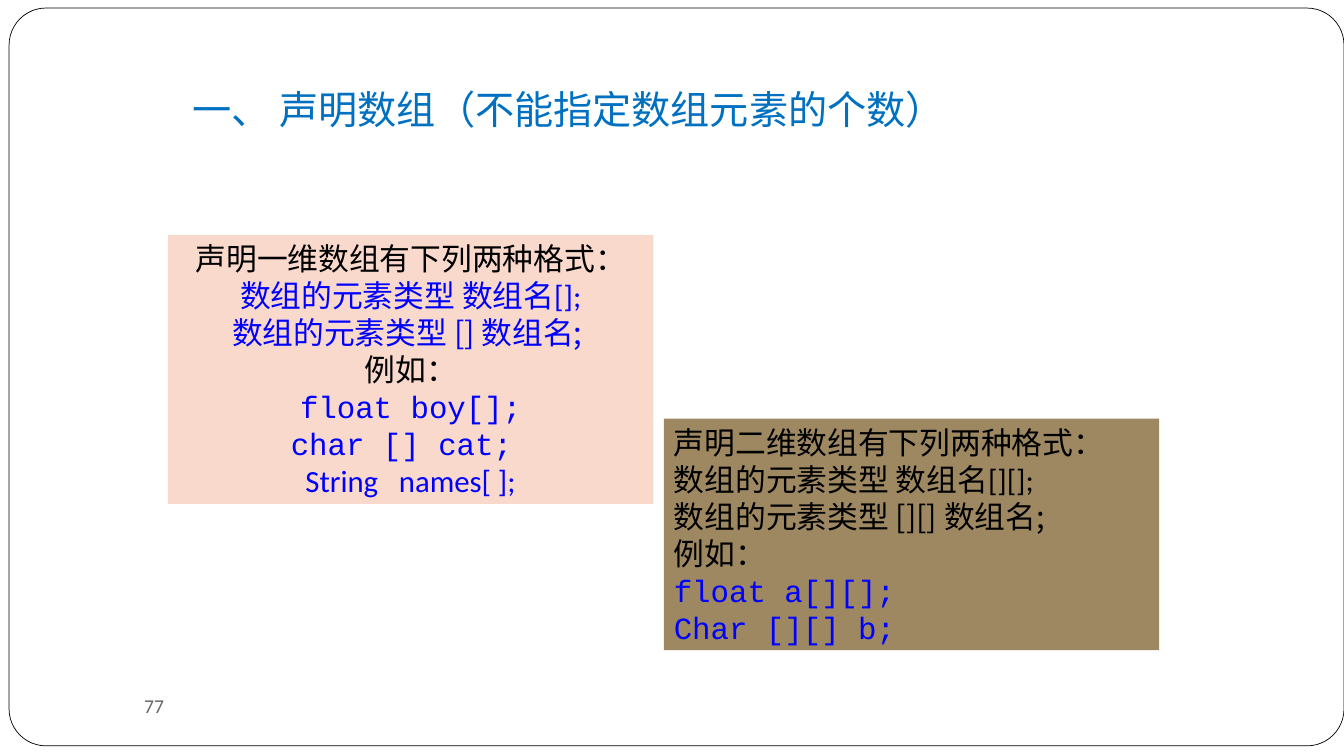
from dataclasses import dataclass

from pptx import Presentation
from pptx.dml.color import RGBColor
from pptx.enum.shapes import MSO_SHAPE as Shape
from pptx.enum.text import MSO_ANCHOR as Anchor, PP_ALIGN as Align
from pptx.util import Pt


@dataclass(frozen=True)
class Theme:
    white: str = "FFFFFF"
    black: str = "000000"
    grey: str = "696464"
    title_blue: str = "0070C0"
    code_blue: str = "0000FF"
    pink: str = "FAD9CD"
    brown: str = "9D8862"
    body_font: str = "Calibri"
    code_font: str = "Courier New"
    chinese_font: str = "Noto Sans CJK SC"
    title_font: str = "Times New Roman"
    title_size: int = 28
    body_size: int = 22
    number_size: int = 14


class SlideBuilder:
    def __init__(self, slide, theme):
        self.slide = slide
        self.theme = theme

    def panel(self, kind, box, fill, line=None):
        shape = self.slide.shapes.add_shape(kind, *map(Pt, box))
        shape.shadow.inherit = False
        shape.fill.solid()
        shape.fill.fore_color.rgb = RGBColor.from_string(fill)
        if line:
            shape.line.color.rgb = RGBColor.from_string(line)
            shape.line.width = Pt(0.5)
        else:
            shape.line.fill.background()
        return shape

    def set_text(self, paragraph, text, font, size, color, align=Align.LEFT):
        paragraph.text = text
        paragraph.alignment = align
        paragraph.font.name = font
        paragraph.font.size = Pt(size)
        paragraph.font.color.rgb = RGBColor.from_string(color)

    def label(self, box, text, font, size, color, anchor=Anchor.TOP):
        frame = self.slide.shapes.add_textbox(*map(Pt, box)).text_frame
        frame.word_wrap = True
        frame.vertical_anchor = anchor
        paragraph = frame.paragraphs[0]
        self.set_text(paragraph, text, font, size, color)
        return paragraph

    def syntax_panel(self, box, fill, lines):
        frame = self.panel(Shape.RECTANGLE, box, fill).text_frame
        frame.word_wrap = True
        frame.vertical_anchor = Anchor.TOP
        for index, (text, font, color, align) in enumerate(lines):
            paragraph = frame.add_paragraph() if index else frame.paragraphs[0]
            self.set_text(paragraph, text, font, self.theme.body_size, color, align)


def main():
    presentation = Presentation()
    presentation.slide_width = Pt(960.5)
    presentation.slide_height = Pt(540)
    slide = presentation.slides.add_slide(presentation.slide_layouts[6])
    theme = Theme()
    builder = SlideBuilder(slide, theme)

    border = builder.panel(Shape.ROUNDED_RECTANGLE, (6.5, 5.75, 954, 527),
                           theme.white, theme.black)
    border.adjustments[0] = 0.05

    builder.label((96, 486, 416, 36), "77", theme.body_font,
                  theme.number_size, theme.grey, Anchor.MIDDLE)
    title = builder.label((130.5, 61, 674.5, 142), "一、 声明数组（不能指定数组元素的个数）",
                          theme.title_font, theme.title_size, theme.title_blue)
    title.line_spacing = 0.9

    body, code, chinese = theme.body_font, theme.code_font, theme.chinese_font
    black, blue = theme.black, theme.code_blue
    center, left, justify = Align.CENTER, Align.LEFT, Align.JUSTIFY
    builder.syntax_panel((120, 168, 347, 192), theme.pink, [
        ("声明一维数组有下列两种格式：", body, black, center),
        ("数组的元素类型 数组名[];", body, blue, center),
        ("数组的元素类型 [] 数组名; ", chinese, blue, center),
        ("例如：", body, black, center),
        ("float boy[];", code, blue, center),
        ("char [] cat; ", code, blue, center),
        ("String   names[ ];", body, blue, center),
    ])
    builder.syntax_panel((474.5, 299, 354, 165.5), theme.brown, [
        ("声明二维数组有下列两种格式：", body, black, justify),
        ("数组的元素类型 数组名[][];", body, black, justify),
        ("数组的元素类型 [][] 数组名;", chinese, black, left),
        ("例如：", body, black, justify),
        ("float a[][];", code, blue, justify),
        ("Char [][] b;", code, blue, left),
    ])

    presentation.save("out.pptx")


if __name__ == "__main__":
    main()
